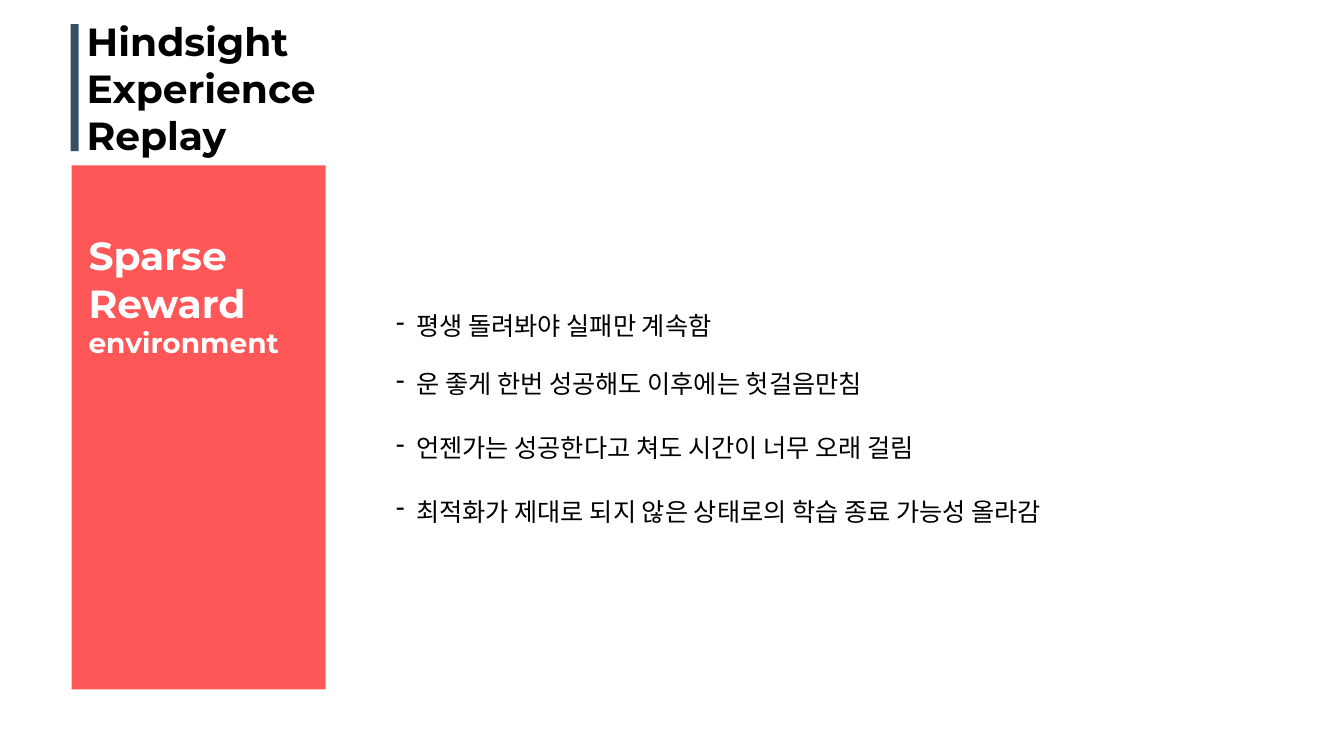
from dataclasses import dataclass

import lxml.etree
import pptx
import pptx.dml.color
import pptx.enum.shapes
import pptx.enum.text
import pptx.oxml.ns
import pptx.util

Inches = pptx.util.Inches
BLACK, WHITE, CORAL, NAVY = "000000", "FFFFFF", "FF5757", "354F64"
HEADING_FONT, BODY_FONT = "Montserrat", "Arial"
BULLET_INDENT = 0.2


@dataclass
class Area:
    left: float
    top: float
    width: float
    height: float

    def lengths(self) -> list:
        return [Inches(n) for n in (self.left, self.top, self.width, self.height)]


@dataclass
class Line:
    text: str
    size: int
    color: str
    font: str = HEADING_FONT
    bold: bool = True


@dataclass
class Point:
    text: str
    top: float
    width: float = 7.7


def rgb(color: str) -> pptx.dml.color.RGBColor:
    return pptx.dml.color.RGBColor.from_string(color)


def add_block(slide, area: Area, color: str) -> None:
    block = slide.shapes.add_shape(
        pptx.enum.shapes.MSO_SHAPE.RECTANGLE, *area.lengths())
    block.shadow.inherit = False
    block.fill.solid()
    block.fill.fore_color.rgb = rgb(color)
    block.line.fill.background()


def write_lines(frame, lines: list[Line]) -> None:
    frame.word_wrap = True
    frame.auto_size = pptx.enum.text.MSO_AUTO_SIZE.SHAPE_TO_FIT_TEXT
    frame.vertical_anchor = pptx.enum.text.MSO_ANCHOR.TOP
    for index, line in enumerate(lines):
        paragraph = frame.add_paragraph() if index else frame.paragraphs[0]
        paragraph.text = line.text
        paragraph.alignment = pptx.enum.text.PP_ALIGN.LEFT
        paragraph.font.name = line.font
        paragraph.font.size = pptx.util.Pt(line.size)
        paragraph.font.bold = line.bold
        paragraph.font.color.rgb = rgb(line.color)


def add_text(slide, area: Area, lines: list[Line]):
    frame = slide.shapes.add_textbox(*area.lengths()).text_frame
    write_lines(frame, lines)
    return frame


def add_dash(paragraph) -> None:
    properties = paragraph._p.get_or_add_pPr()
    properties.set("marL", str(Inches(BULLET_INDENT)))
    properties.set("indent", str(-Inches(BULLET_INDENT)))
    dash = lxml.etree.Element(pptx.oxml.ns.qn("a:buChar"), char="-")
    properties.insert_element_before(dash, "a:tabLst", "a:defRPr", "a:extLst")


def add_point(slide, point: Point) -> None:
    frame = add_text(slide, Area(3.83, point.top, point.width, 0.4),
                     [Line(point.text, 18, BLACK, BODY_FONT, False)])
    add_dash(frame.paragraphs[0])


def main() -> None:
    deck = pptx.Presentation()
    deck.slide_width, deck.slide_height = Inches(13.33), Inches(7.5)
    slide = deck.slides.add_slide(deck.slide_layouts.get_by_name("Title Only"))

    title = slide.shapes.title
    title.left, title.top, title.width, title.height = Area(
        0.76, 0.12, 3.07, 1.51).lengths()
    write_lines(title.text_frame, [
        Line(word, 28, BLACK) for word in ("Hindsight", "Experience", "Replay")])

    add_block(slide, Area(0.71, 1.64, 2.52, 5.2), CORAL)
    add_block(slide, Area(0.7, 0.24, 0.08, 1.26), NAVY)
    add_text(slide, Area(0.78, 2.25, 2.12, 1.38), [
        Line("Sparse", 28, WHITE),
        Line("Reward", 28, WHITE),
        Line("environment", 20, WHITE),
    ])

    for point in (
        Point("평생 돌려봐야 실패만 계속함", 3.03, 3.78),
        Point("운 좋게 한번 성공해도 이후에는 헛걸음만침", 3.61),
        Point("언젠가는 성공한다고 쳐도 시간이 너무 오래 걸림", 4.24),
        Point("최적화가 제대로 되지 않은 상태로의 학습 종료 가능성 올라감", 4.87),
    ):
        add_point(slide, point)

    deck.save("out.pptx")


if __name__ == "__main__":
    main()
